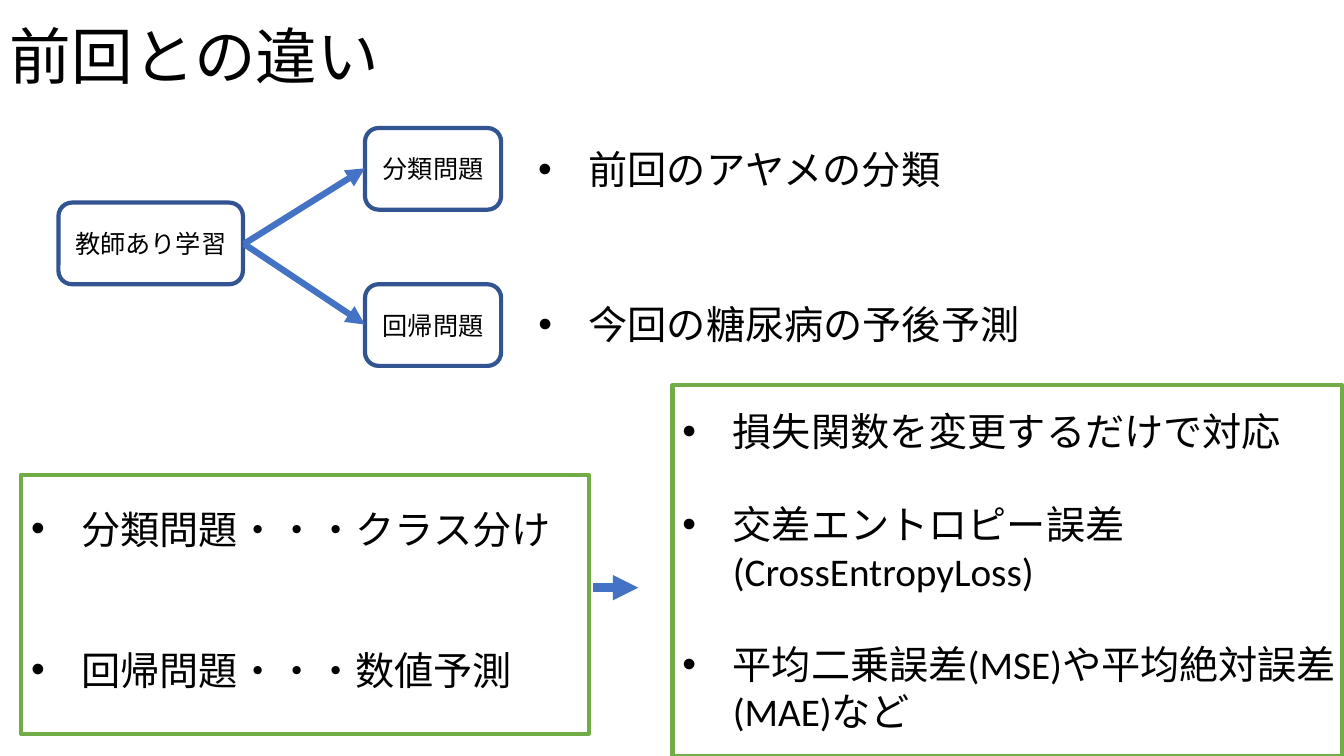
"""Build the slide on how this lesson differs from the previous one."""
from dataclasses import dataclass

from lxml import etree
from pptx import Presentation
from pptx import util as u
from pptx.dml.color import RGBColor
from pptx.enum import shapes, text
from pptx.oxml import ns

EMU_PER_PX = 9144
COLORS = {
    "ink": "000000",
    "white": "FFFFFF",
    "node_line": "325491",
    "arrow": "4472C4",
    "frame": "70AD47",
}


@dataclass(frozen=True)
class Box:
    left: int
    top: int
    width: int
    height: int


@dataclass(frozen=True)
class Node:
    label: str
    box: Box


@dataclass(frozen=True)
class Arrow:
    start: tuple[int, int]
    end: tuple[int, int]
    weight: float


@dataclass(frozen=True)
class BulletList:
    items: tuple[str, ...]
    box: Box
    gap: int = 0


NODES = (
    Node("教師あり学習", Box(58, 201, 183, 81)),
    Node("分類問題", Box(362, 127, 135, 81)),
    Node("回帰問題", Box(362, 282, 135, 81)),
)
ARROWS = (
    Arrow((242, 242), (362, 167), 4.5),
    Arrow((242, 242), (362, 322), 4.5),
    Arrow((588, 583), (633, 583), 6),
)
LISTS = (
    BulletList(("前回のアヤメの分類",), Box(524, 139, 454, 57)),
    BulletList(("今回の糖尿病の予後予測",), Box(524, 293, 549, 57)),
    BulletList(("分類問題・・・クラス分け", "回帰問題・・・数値予測"), Box(21, 496, 563, 199), 67),
    BulletList(
        (
            "損失関数を変更するだけで対応",
            "交差エントロピー誤差(CrossEntropyLoss)",
            "平均二乗誤差(MSE)や平均絶対誤差(MAE)など",
        ),
        Box(667, 399, 674, 346),
        33,
    ),
)
FRAMES = (Box(21, 471, 563, 257), Box(667, 382, 664, 368))


def px(length: int) -> u.Emu:
    return u.Emu(length * EMU_PER_PX)


def place(box: Box) -> tuple[u.Emu, ...]:
    return px(box.left), px(box.top), px(box.width), px(box.height)


def color(name: str) -> RGBColor:
    return RGBColor.from_string(COLORS[name])


def set_font(paragraph, size: int, name: str = "Calibri") -> None:
    paragraph.font.size = u.Pt(size)
    paragraph.font.name = name
    paragraph.font.color.rgb = color("ink")


def set_line(line, name: str, weight: float) -> None:
    line.color.rgb = color(name)
    line.width = u.Pt(weight)


def add_text_frame(slide, box: Box):
    frame = slide.shapes.add_textbox(*place(box)).text_frame
    frame.word_wrap = True
    return frame


def add_title(slide, title: str, box: Box) -> None:
    frame = add_text_frame(slide, box)
    frame.vertical_anchor = text.MSO_ANCHOR.MIDDLE
    paragraph = frame.paragraphs[0]
    paragraph.text = title
    paragraph.line_spacing = 0.9
    set_font(paragraph, 44, "Arial")


def add_node(slide, node: Node) -> None:
    shape = slide.shapes.add_shape(shapes.MSO_SHAPE.ROUNDED_RECTANGLE, *place(node.box))
    shape.shadow.inherit = False
    shape.fill.solid()
    shape.fill.fore_color.rgb = color("white")
    set_line(shape.line, "node_line", 3)
    shape.text_frame.word_wrap = True
    shape.text_frame.vertical_anchor = text.MSO_ANCHOR.MIDDLE
    paragraph = shape.text_frame.paragraphs[0]
    paragraph.text = node.label
    paragraph.alignment = text.PP_ALIGN.CENTER
    set_font(paragraph, 18)


def add_arrow(slide, arrow: Arrow) -> None:
    points = [px(value) for value in (*arrow.start, *arrow.end)]
    connector = slide.shapes.add_connector(shapes.MSO_CONNECTOR.STRAIGHT, *points)
    set_line(connector.line, "arrow", arrow.weight)
    properties = connector.element.spPr
    etree.SubElement(properties.find(ns.qn("a:ln")), ns.qn("a:tailEnd"), type="triangle")
    etree.SubElement(properties, ns.qn("a:effectLst"))


def add_bullets(slide, bullets: BulletList) -> None:
    frame = add_text_frame(slide, bullets.box)
    for index, item in enumerate(bullets.items):
        paragraph = frame.add_paragraph() if index else frame.paragraphs[0]
        paragraph.text = item
        if index:
            paragraph.space_before = u.Pt(bullets.gap)
        set_font(paragraph, 28)
        properties = paragraph._p.get_or_add_pPr()
        properties.set("marL", str(px(50)))
        properties.set("indent", str(px(-50)))
        marker_font = etree.Element(ns.qn("a:buFont"), typeface="Arial")
        marker = etree.Element(ns.qn("a:buChar"), char="•")
        defaults = properties.find(ns.qn("a:defRPr"))
        defaults.addprevious(marker_font)
        defaults.addprevious(marker)


def add_frame(slide, box: Box) -> None:
    shape = slide.shapes.add_shape(shapes.MSO_SHAPE.RECTANGLE, *place(box))
    shape.shadow.inherit = False
    shape.fill.background()
    set_line(shape.line, "frame", 3)


def main() -> None:
    presentation = Presentation()
    presentation.slide_width, presentation.slide_height = px(1333), px(750)
    slide = presentation.slides.add_slide(presentation.slide_layouts[6])
    add_title(slide, "前回との違い", Box(0, 0, 1333, 119))
    for node in NODES:
        add_node(slide, node)
    for arrow in ARROWS:
        add_arrow(slide, arrow)
    for bullets in LISTS:
        add_bullets(slide, bullets)
    for box in FRAMES:
        add_frame(slide, box)
    presentation.save("out.pptx")


if __name__ == "__main__":
    main()
